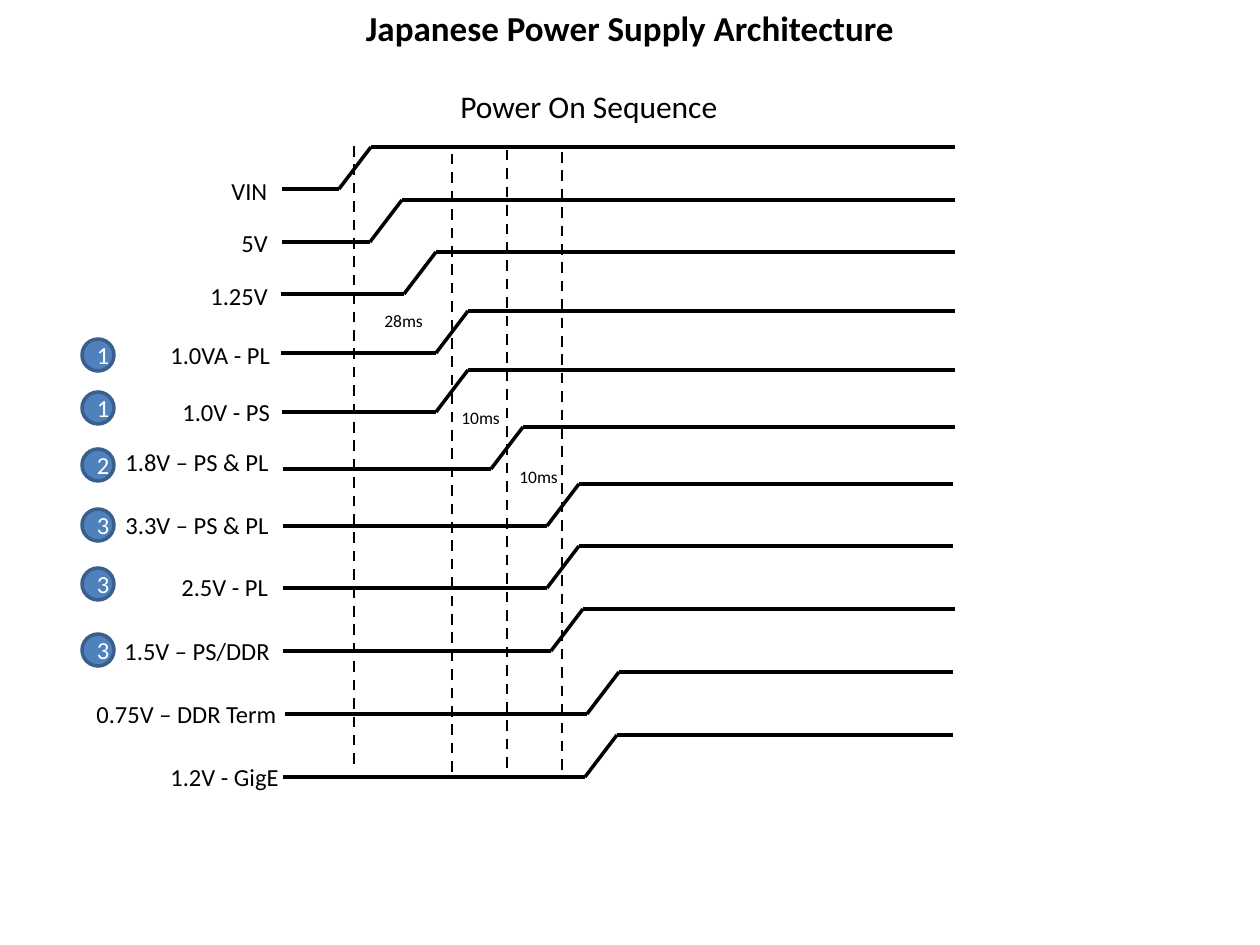
from lxml import etree
from pptx import Presentation
from pptx.dml.color import RGBColor
from pptx.enum.dml import MSO_LINE
from pptx.enum.shapes import MSO_CONNECTOR, MSO_SHAPE
from pptx.enum.text import MSO_ANCHOR, MSO_AUTO_SIZE, PP_ALIGN
from pptx.oxml.ns import qn
from pptx.util import Emu, Pt

BLACK = RGBColor(0x00, 0x00, 0x00)
WHITE = RGBColor(0xFF, 0xFF, 0xFF)
BLUE = RGBColor(0x4F, 0x81, 0xBD)
DARK_BLUE = RGBColor(0x3A, 0x5F, 0x8C)
LEFT, CENTER = PP_ALIGN.LEFT, PP_ALIGN.CENTER
STRAIGHT, OVAL = MSO_CONNECTOR.STRAIGHT, MSO_SHAPE.OVAL
DASH, MIDDLE = MSO_LINE.DASH, MSO_ANCHOR.MIDDLE
FIT_SHAPE = MSO_AUTO_SIZE.SHAPE_TO_FIT_TEXT
FONT = "Calibri"
SCALE = 914400 / 126
RAMP_RUN, RAMP_RISE = 32, 42
LABEL_HEIGHT, TIMING_WIDTH, TIMING_HEIGHT = 42, 64, 34
BADGE_LEFT, BADGE_SIZE = 82, 32

presentation = Presentation()
presentation.slide_width = Emu(round(1260 * SCALE))
presentation.slide_height = Emu(round(945 * SCALE))
slide = presentation.slides.add_slide(presentation.slide_layouts[6])


def add_text(text, box, size=14, bold=False, align=LEFT, wrap=False, badge=False):
    bounds = [Emu(round(value * SCALE)) for value in box]
    if badge:
        shape = slide.shapes.add_shape(OVAL, *bounds)
        shape.shadow.inherit = False
        shape.fill.solid()
        shape.fill.fore_color.rgb = BLUE
        shape.line.color.rgb = DARK_BLUE
        shape.line.width = Pt(2)
        shape.text_frame.vertical_anchor = MIDDLE
    else:
        shape = slide.shapes.add_textbox(*bounds)
        shape.text_frame.auto_size = FIT_SHAPE
    shape.text_frame.word_wrap = wrap
    paragraph = shape.text_frame.paragraphs[0]
    paragraph.alignment = align
    run = paragraph.add_run()
    run.text = text
    run.font.name = FONT
    run.font.size = Pt(size)
    run.font.bold = bold
    run.font.color.rgb = WHITE if badge else BLACK


def add_line(start, end, width=2, dashed=False):
    points = [Emu(round(value * SCALE)) for value in (*start, *end)]
    connector = slide.shapes.add_connector(STRAIGHT, *points)
    connector.line.color.rgb = BLACK
    connector.line.width = Pt(width)
    if dashed:
        connector.line.dash_style = DASH
    etree.SubElement(connector._element.spPr, qn("a:effectLst"))


add_text("Japanese Power Supply Architecture", (0, 0, 1260, 55),
         size=20, bold=True, align=CENTER, wrap=True)
add_text("Power On Sequence", (448, 81, 288, 50), size=18, wrap=True)

# label, label left, label top, label width, start x, low y, ramp x, end x
rails = [
    ("VIN", 219, 170, 62, 282, 189, 339, 955),
    ("5V", 229, 222, 52, 282, 242, 370, 955),
    ("1.25V", 198, 275, 83, 281, 294, 404, 955),
    ("1.0VA - PL", 158, 334, 126, 281, 353, 436, 955),
    ("1.0V - PS", 170, 391, 113, 282, 412, 436, 955),
    ("1.8V – PS & PL", 113, 441, 169, 283, 469, 491, 955),
    ("3.3V – PS & PL", 113, 504, 169, 283, 526, 547, 953),
    ("2.5V - PL", 169, 566, 112, 283, 588, 547, 953),
    ("1.5V – PS/DDR", 112, 630, 171, 283, 651, 551, 955),
    ("0.75V – DDR Term", 84, 693, 207, 285, 714, 587, 953),
    ("1.2V - GigE", 158, 756, 135, 283, 777, 585, 953),
]
for label, left, top, width, start_x, low_y, ramp_x, end_x in rails:
    add_text(label, (left, top, width, LABEL_HEIGHT))
    ramp_start = (ramp_x, low_y)
    ramp_end = (ramp_x + RAMP_RUN, low_y - RAMP_RISE)
    add_line((start_x, low_y), ramp_start)
    add_line(ramp_start, ramp_end)
    add_line(ramp_end, (end_x, low_y - RAMP_RISE))

for number, top in [("1", 339), ("1", 392), ("2", 449),
                    ("3", 509), ("3", 568), ("3", 634)]:
    add_text(number, (BADGE_LEFT, top, BADGE_SIZE, BADGE_SIZE),
             align=CENTER, wrap=True, badge=True)

for x, top, bottom in [(354, 146, 771), (452, 154, 777),
                       (507, 150, 775), (562, 152, 777)]:
    add_line((x, top), (x, bottom), width=1.5, dashed=True)

for timing, left, top in [("28ms", 372, 304), ("10ms", 449, 401), ("10ms", 507, 460)]:
    add_text(timing, (left, top, TIMING_WIDTH, TIMING_HEIGHT), size=10, wrap=True)

presentation.save("out.pptx")
